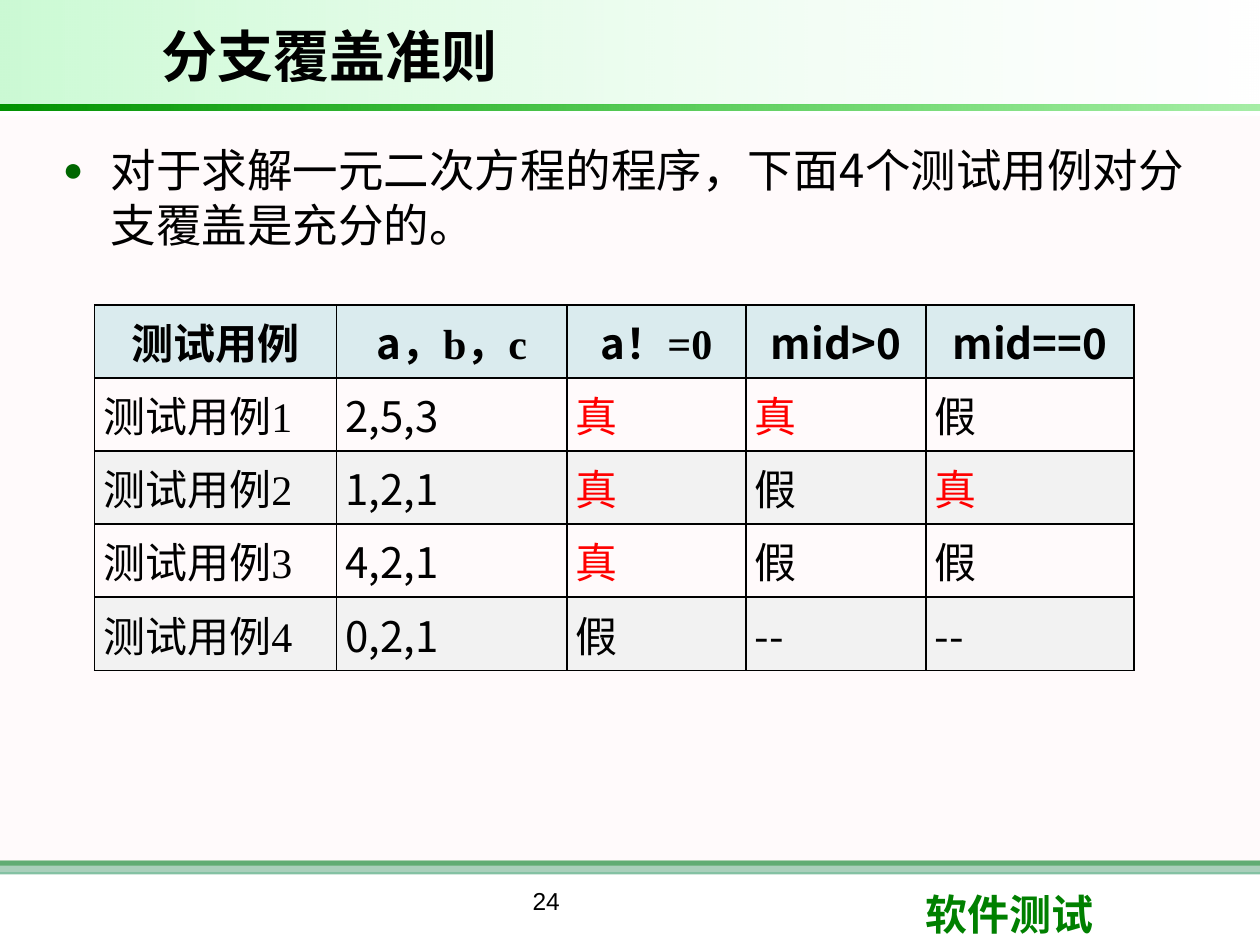
from dataclasses import dataclass

from lxml.etree import SubElement
from pptx import Presentation
from pptx.dml.color import RGBColor
from pptx.enum.shapes import MSO_SHAPE as Shape
from pptx.enum.text import MSO_ANCHOR as Anchor, MSO_AUTO_SIZE as Fit, PP_ALIGN as Align
from pptx.oxml.ns import qn
from pptx.util import Inches, Pt


@dataclass(frozen=True)
class Theme:
    sans: str = "Arial"
    cjk: str = "Noto Sans CJK SC"
    serif: str = "Times New Roman"
    black: str = "000000"
    white: str = "FFFFFF"
    red: str = "FF0000"
    green: str = "008000"
    sea: str = "339966"
    blush: str = "FFF0F5"
    lime: str = "09E733"
    leaf: str = "00CC00"
    deep: str = "009200"
    bullet: str = "006600"
    head: str = "BBE0E3"
    band: str = "F2F2F2"
    title: int = 32
    body: int = 26
    cell: int = 24
    page: int = 14


T = Theme()
HEAD = [
    [("测试用例", T.serif)],
    [("a", T.cjk), ("，b，c", T.serif)],
    [("a", T.cjk), ("！=0", T.serif)],
    [("mid>0", T.cjk)],
    [("mid==0", T.cjk)],
]
CASES = [
    ("测试用例1", "2,5,3", "真", "真", "假"),
    ("测试用例2", "1,2,1", "真", "假", "真"),
    ("测试用例3", "4,2,1", "真", "假", "假"),
    ("测试用例4", "0,2,1", "假", "--", "--"),
]
COLS = (1.92, 1.83, 1.42, 1.43, 1.65)
ROW = 0.58


def rgb(code):
    return RGBColor.from_string(code)


def fade(props, *levels):
    """Set the opacity, in percent, of each colour in turn."""
    for color, level in zip(props.iter(qn("a:srgbClr")), levels):
        SubElement(color, qn("a:alpha"), val=str(level * 1000))


def write(para, text, font=T.sans, size=T.cell, color=T.black, bold=False, align=None):
    para.alignment = align
    run = para.add_run()
    run.text = text
    run.font.name = font
    run.font.size = Pt(size)
    run.font.bold = bold
    run.font.color.rgb = rgb(color)
    SubElement(run.font._element, qn("a:ea"), typeface=T.cjk)


def add_bar(slide, box, *stops, turn=0):
    """Draw a bar from one (colour, opacity) stop, or from two as a gradient."""
    bar = slide.shapes.add_shape(Shape.RECTANGLE, *map(Inches, box))
    bar.shadow.inherit = False
    bar.line.fill.background()
    bar.rotation = turn
    if len(stops) == 1:
        bar.fill.solid()
        bar.fill.fore_color.rgb = rgb(stops[0][0])
    else:
        bar.fill.gradient()
        bar.fill.gradient_angle = 0
        for stop, (color, _) in zip(bar.fill.gradient_stops, stops):
            stop.color.rgb = rgb(color)
    fade(bar._element.spPr, *(level for _, level in stops))


def add_text(slide, box, text, **style):
    frame = slide.shapes.add_textbox(*map(Inches, box)).text_frame
    frame.word_wrap = True
    write(frame.paragraphs[0], text, **style)
    return frame.paragraphs[0]


def add_title(slide, box, text):
    title = slide.shapes.title
    title.left, title.top, title.width, title.height = map(Inches, box)
    frame = title.text_frame
    frame.auto_size = Fit.NONE
    frame.vertical_anchor = Anchor.MIDDLE
    write(frame.paragraphs[0], text, size=T.title, bold=True, align=Align.LEFT)
    slide.shapes._spTree.append(title._element)  # bring in front of the header


def add_bullet(para):
    props = para._p.get_or_add_pPr()
    props.set("marL", str(Inches(0.39)))
    props.set("indent", str(Inches(-0.38)))
    color = SubElement(props, qn("a:buClr"))
    SubElement(color, qn("a:srgbClr"), val=T.bullet)
    SubElement(props, qn("a:buSzPct"), val="75000")
    SubElement(props, qn("a:buFont"), typeface=T.sans)
    SubElement(props, qn("a:buChar"), char="●")
    para.space_after = Pt(6)


def add_edges(cell):
    props = cell._tc.get_or_add_tcPr()
    for spot, side in enumerate(("lnL", "lnR", "lnT", "lnB")):
        line = props.makeelement(qn(f"a:{side}"), {"w": str(Pt(1))})
        fill = SubElement(line, qn("a:solidFill"))
        SubElement(fill, qn("a:srgbClr"), val=T.black)
        props.insert(spot, line)


def style_cell(cell, fill=None, level=100):
    cell.vertical_anchor = Anchor.MIDDLE
    cell.margin_left = cell.margin_right = Inches(0.07)
    cell.margin_top = cell.margin_bottom = 0
    if fill:
        cell.fill.solid()
        cell.fill.fore_color.rgb = rgb(fill)
        fade(cell._tc.tcPr, level)
    else:
        cell.fill.background()
    add_edges(cell)


def add_cases(slide, left, top):
    count = len(CASES) + 1
    size = map(Inches, (left, top, sum(COLS), ROW * count))
    table = slide.shapes.add_table(count, len(COLS), *size).table
    for col, width in zip(table.columns, COLS):
        col.width = Inches(width)
    for c, runs in enumerate(HEAD):
        cell = table.cell(0, c)
        style_cell(cell, T.head, 54)
        for text, font in runs:
            write(cell.text_frame.paragraphs[0], text, font=font, bold=True,
                  align=Align.CENTER)
    for r, case in enumerate(CASES, 1):
        for c, text in enumerate(case):
            cell = table.cell(r, c)
            style_cell(cell, None if r % 2 else T.band)
            write(cell.text_frame.paragraphs[0], text,
                  font=T.cjk if c == 1 or text == "--" else T.serif,
                  color=T.red if text == "真" else T.black, align=Align.JUSTIFY)


def main():
    deck = Presentation()
    deck.slide_width, deck.slide_height = Inches(10), Inches(7.5)
    slide = deck.slides.add_slide(deck.slide_layouts[5])
    add_bar(slide, (0, 6.83, 10, 0.04), (T.green, 100))
    add_bar(slide, (0, 6.83, 10, 0.11), (T.sea, 60))
    add_bar(slide, (0, 0.92, 10, 6), (T.blush, 30))
    add_text(slide, (7.25, 7, 2.37, 0.5), "软件测试", color=T.green, bold=True)
    add_bar(slide, (0, 0, 9.99, 0.83), (T.white, 10), (T.lime, 21), turn=180)
    add_bar(slide, (0, 0.83, 10, 0.05), (T.leaf, 35), (T.deep, 100), turn=180)
    add_title(slide, (1.18, 0.08, 6.97, 0.71), "分支覆盖准则")
    add_bullet(add_text(
        slide, (0.39, 1.08, 9.36, 5.58),
        "对于求解一元二次方程的程序，下面4个测试用例对分支覆盖是充分的。",
        font=T.cjk, size=T.body))
    add_text(slide, (2.75, 6.98, 3.17, 0.52), "24", size=T.page, align=Align.CENTER)
    add_cases(slide, 0.75, 2.42)
    deck.save("out.pptx")


if __name__ == "__main__":
    main()
